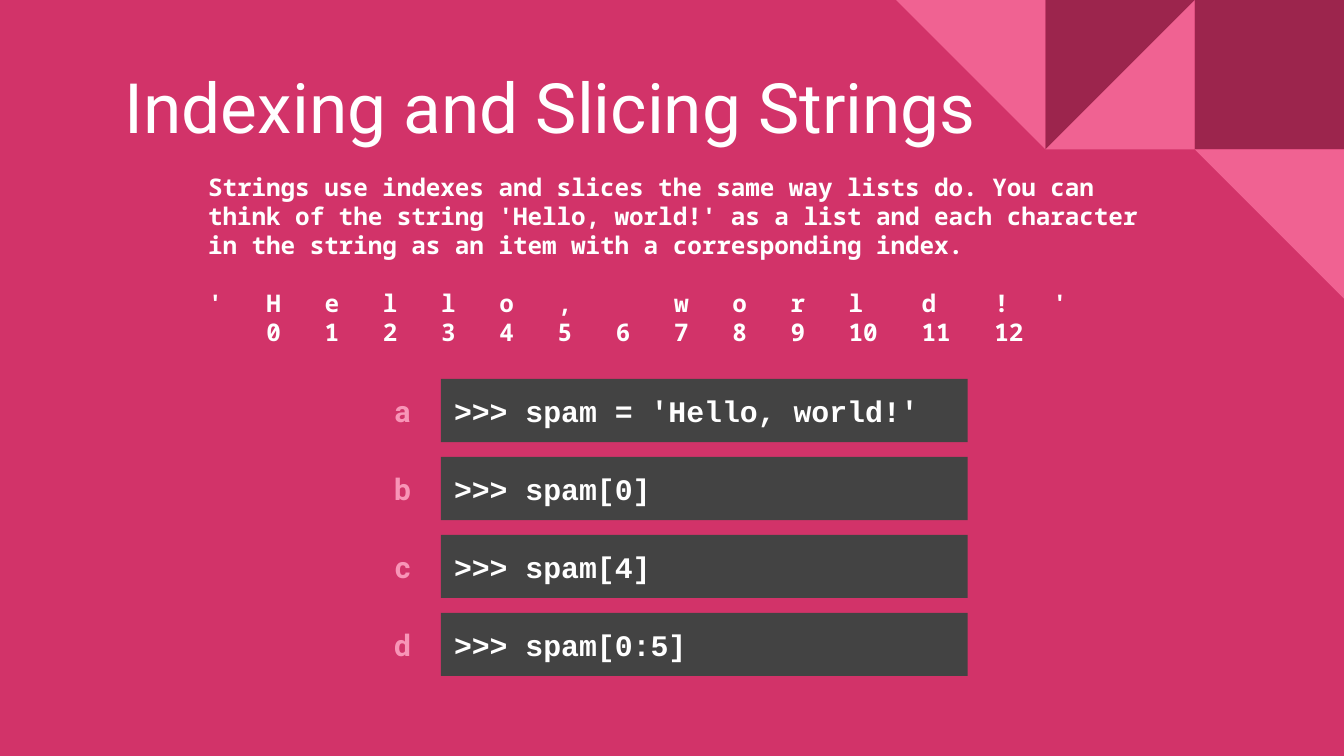
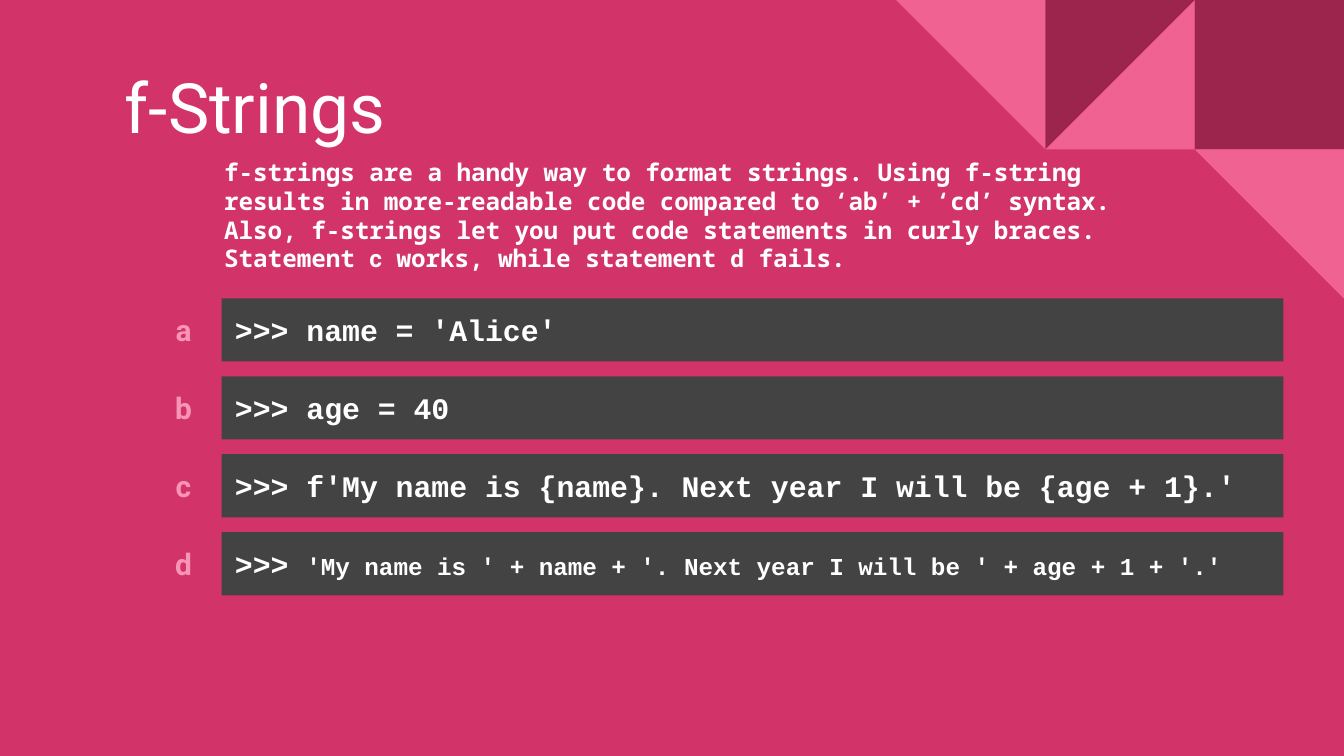
"""Build two slides about Python strings: indexing and slicing, and f-strings."""
from pptx import Presentation
from pptx import util as u
from pptx.dml.color import RGBColor
from pptx.enum import shapes, text
from pptx.oxml.ns import qn
from lxml import etree

WIDTH, HEIGHT = 10, 5.625
TILE = WIDTH / 9
INSET = 0.1
ROW_H, PITCH = 0.47, 0.58
LABEL_W, LABEL_SHIFT = 0.39, 0.48
BODY_SIZE, BODY_LINE = 13, 15.5
CHAR_W = BODY_SIZE * 0.6 / 72

BACK, DARK, PINK = "D23369", "9C254D", "F06292"
WHITE, CODE_FILL, LABEL = "FFFFFF", "434343", "F895B7"
SANS, MONO, CODE = "Roboto", "Noto Sans Mono", "Courier New"

RECT = shapes.MSO_SHAPE.RECTANGLE
TRIANGLE = shapes.MSO_SHAPE.RIGHT_TRIANGLE
TILES = [
    (RECT, 8, 0, 0, DARK),
    (TRIANGLE, 7, 0, 270, PINK),
    (TRIANGLE, 7, 0, 90, DARK),
    (TRIANGLE, 6, 0, 180, PINK),
    (TRIANGLE, 8, 1, 180, PINK),
]

LETTERS = ["'", *"Hello,", "", *"world!", "'"]
INDEXES = ["", *map(str, range(13))]
INDEX_COLUMNS = [*range(4, 45, 4), 49, 54, 58]

SLIDES = [
    {
        "title": "Indexing and Slicing Strings",
        "body_box": (1.45, 1.17, 7.42, 1.52),
        "body": [
            "Strings use indexes and slices the same way lists do. You can think of "
            "the string 'Hello, world!' as a list and each character in the string "
            "as an item with a corresponding index."
        ],
        "index_rows": [LETTERS, INDEXES],
        "code_box": (3.28, 2.82, 3.92),
        "code": [
            [">>> spam = 'Hello, world!'"],
            [">>> spam[0]"],
            [">>> spam[4]"],
            [">>> spam[0:5]"],
        ],
    },
    {
        "title": "f-Strings",
        "body_box": (1.57, 1.17, 7.42, 0.86),
        "body": [
            "f-strings are a handy way to format strings. Using f-string results in "
            "more-readable code compared to ‘ab’ + ‘cd’ syntax. Also, f-strings let "
            "you put code statements in curly braces. Statement ",
            ("c", {"font": SANS}),
            " works, while statement ",
            ("d", {"font": SANS}),
            " fails.",
        ],
        "index_rows": [],
        "code_box": (1.65, 2.22, 7.9),
        "code": [
            [">>> name = 'Alice'"],
            [">>> age = 40"],
            [">>> f'My name is {name}. Next year I will be {age + 1}.'"],
            [">>> ", ("'My name is ' + name + '. Next year I will be ' + age + 1 + '.'",
                      {"size": 13})],
        ],
    },
]


def color(value):
    return RGBColor.from_string(value)


def add_block(s, shape, left, top, width, height, fill):
    sp = s.shapes.add_shape(shape, *map(u.Inches, (left, top, width, height)))
    sp.shadow.inherit = False
    sp.fill.solid()
    sp.fill.fore_color.rgb = color(fill)
    sp.line.fill.background()
    return sp


def add_box(s, left, top, width, height):
    return s.shapes.add_textbox(*map(u.Inches, (left, top, width, height)))


def add_run(p, content, font, size, ink, bold):
    r = p.add_run()
    r.text = content
    r.font.name = font
    r.font.size = u.Pt(size)
    r.font.bold = bold
    r.font.color.rgb = color(ink)


def write(sp, paragraphs, font=SANS, size=16, ink=WHITE, bold=True,
          align=text.PP_ALIGN.LEFT, anchor=text.MSO_ANCHOR.TOP, line=None):
    """Fill a shape with paragraphs, each a list of strings or (string, format) pairs."""
    tf = sp.text_frame
    tf.word_wrap = True
    tf.vertical_anchor = anchor
    tf.margin_left = tf.margin_right = tf.margin_top = tf.margin_bottom = u.Inches(INSET)
    base = {"font": font, "size": size, "ink": ink, "bold": bold}
    for i, runs in enumerate(paragraphs):
        p = tf.add_paragraph() if i else tf.paragraphs[0]
        p.alignment = align
        if line:
            p.line_spacing = u.Pt(line)
        for run in runs:
            content, changes = (run, {}) if isinstance(run, str) else run
            add_run(p, content, **{**base, **changes})
    return tf


def set_tabs(p, columns):
    tabs = etree.SubElement(p._p.get_or_add_pPr(), qn("a:tabLst"))
    for column in columns:
        etree.SubElement(tabs, qn("a:tab"), pos=str(u.Inches(column * CHAR_W)), algn="l")


def add_corner(s):
    for shape, column, row, turn, fill in TILES:
        add_block(s, shape, column * TILE, row * TILE, TILE, TILE, fill).rotation = turn


def add_body(s, box, body, index_rows):
    rows = [["\t".join(row)] for row in index_rows]
    tf = write(add_box(s, *box), [body, *rows], font=MONO, size=BODY_SIZE,
               anchor=text.MSO_ANCHOR.MIDDLE, line=BODY_LINE)
    for i, p in enumerate(tf.paragraphs[1:]):
        if i == 0:
            p.space_before = u.Pt(BODY_LINE)
        set_tabs(p, INDEX_COLUMNS)


def add_code(s, left, top, width, lines):
    for i, (label, runs) in enumerate(zip("abcd", lines)):
        y = top + i * PITCH
        write(add_block(s, RECT, left, y, width, ROW_H, CODE_FILL), [runs], font=CODE)
        write(add_box(s, left - LABEL_SHIFT, y, LABEL_W, ROW_H), [[label]], ink=LABEL,
              align=text.PP_ALIGN.CENTER)


def main():
    prs = Presentation()
    prs.slide_width, prs.slide_height = u.Inches(WIDTH), u.Inches(HEIGHT)
    back = prs.slide_master.background.fill
    back.solid()
    back.fore_color.rgb = color(BACK)
    for content in SLIDES:
        s = prs.slides.add_slide(prs.slide_layouts[6])
        add_corner(s)
        write(add_box(s, 0.83, 0.34, 7.85, 0.89), [[content["title"]]], size=37.2,
              bold=False, anchor=text.MSO_ANCHOR.MIDDLE)
        add_body(s, content["body_box"], content["body"], content["index_rows"])
        add_code(s, *content["code_box"], content["code"])
    prs.save("out.pptx")


if __name__ == "__main__":
    main()
